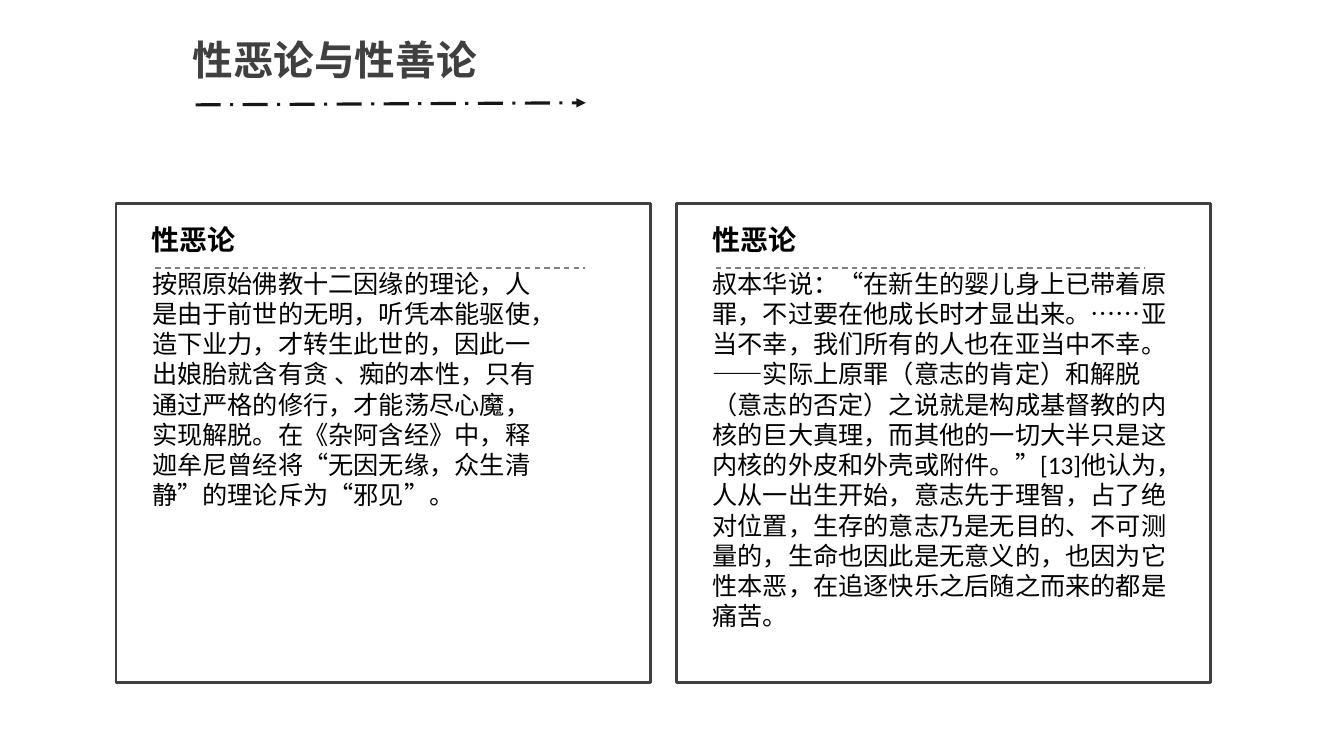
from pptx import Presentation, util as u
from pptx.dml.color import RGBColor
from pptx.enum import dml, shapes, text
from pptx.oxml import ns, xmlchemy

CJK, LATIN = "Noto Sans CJK SC", "Calibri"
DARK, INK, GREY, BLACK = "404040", "181717", "808080", "000000"
DASH = dml.MSO_LINE

EVIL = "按照原始佛教十二因缘的理论，人是由于前世的无明，听凭本能驱使，造下业力，才转生此世的，因此一出娘胎就含有贪 、痴的本性，只有通过严格的修行，才能荡尽心魔，实现解脱。在《杂阿含经》中，释迦牟尼曾经将“无因无缘，众生清静”的理论斥为“邪见”。"
WILL = "叔本华说：“在新生的婴儿身上已带着原罪，不过要在他成长时才显出来。……亚当不幸，我们所有的人也在亚当中不幸。——实际上原罪（意志的肯定）和解脱（意志的否定）之说就是构成基督教的内核的巨大真理，而其他的一切大半只是这内核的外皮和外壳或附件。”[13]他认为，人从一出生开始，意志先于理智，占了绝对位置，生存的意志乃是无目的、不可测量的，生命也因此是无意义的，也因为它性本恶，在追逐快乐之后随之而来的都是痛苦。"


def rgb(value):
    return RGBColor.from_string(value)


def add_run(p, content, size=18, font=LATIN, color=BLACK, bold=False):
    r = p.add_run()
    r.text = content
    r.font.size, r.font.name, r.font.bold = u.Pt(size), font, bold
    r.font.color.rgb = rgb(color)
    ea = xmlchemy.OxmlElement("a:ea")
    ea.set("typeface", CJK)
    r.font._element.append(ea)


class Deck:
    def __init__(self):
        self.prs = Presentation()
        self.prs.slide_width, self.prs.slide_height = u.Inches(13.33), u.Inches(7.5)
        self.s = self.prs.slides.add_slide(self.prs.slide_layouts[6])

    def box(self, x, y, w, h):
        pw, ph = self.prs.slide_width / 100, self.prs.slide_height / 100
        return [round(v) for v in (x * pw, y * ph, w * pw, h * ph)]

    def text(self, x, y, w, h, content, wrap=True, inset=True, **style):
        tf = self.s.shapes.add_textbox(*self.box(x, y, w, h)).text_frame
        tf.word_wrap = wrap
        tf.auto_size = text.MSO_AUTO_SIZE.SHAPE_TO_FIT_TEXT
        if not inset:
            tf.margin_left = tf.margin_right = tf.margin_top = tf.margin_bottom = 0
        add_run(tf.paragraphs[0], content, **style)

    def line(self, x1, y1, x2, y2, color, width, dash, arrow=False):
        sp = self.s.shapes.add_connector(shapes.MSO_CONNECTOR.STRAIGHT, *self.box(x1, y1, x2, y2))
        sp.line.color.rgb, sp.line.width, sp.line.dash_style = rgb(color), u.Pt(width), dash
        if arrow:
            tail = xmlchemy.OxmlElement("a:tailEnd")
            tail.set("type", "triangle")
            sp.line._ln.append(tail)
        sp._element.find(ns.qn("p:spPr")).append(xmlchemy.OxmlElement("a:effectLst"))

    def frame(self, x, y, w, h, color, width):
        sp = self.s.shapes.add_shape(shapes.MSO_SHAPE.RECTANGLE, *self.box(x, y, w, h))
        sp.shadow.inherit = False
        sp.fill.background()
        sp.line.color.rgb, sp.line.width = rgb(color), u.Pt(width)

    def panel(self, x, heading, body, body_width, body_height):
        self.frame(x, 26.93, 39.75, 63.33, DARK, 2)
        self.text(x + 2.67, 29.47, 29.93, 4.53, heading, inset=False, size=20, font=CJK, bold=True)
        self.line(x + 2.93, 35.47, x + 34.88, 35.47, GREY, 1, DASH.DASH)
        self.text(x + 1.95, 34.8, body_width, body_height, body)


def main():
    deck = Deck()
    deck.text(13.58, 4, 22.88, 7.87, "性恶论与性善论", wrap=False, size=29, font=CJK, color=DARK, bold=True)
    deck.line(14.55, 13.87, 43.58, 13.6, INK, 2.25, DASH.LONG_DASH_DOT, arrow=True)
    panels = [("性恶论", EVIL, 31.35, 33.6), ("性恶论", WILL, 36.15, 49.87)]
    for i, content in enumerate(panels):
        deck.panel(8.63 + 41.7 * i, *content)
    deck.prs.save("out.pptx")


if __name__ == "__main__":
    main()
